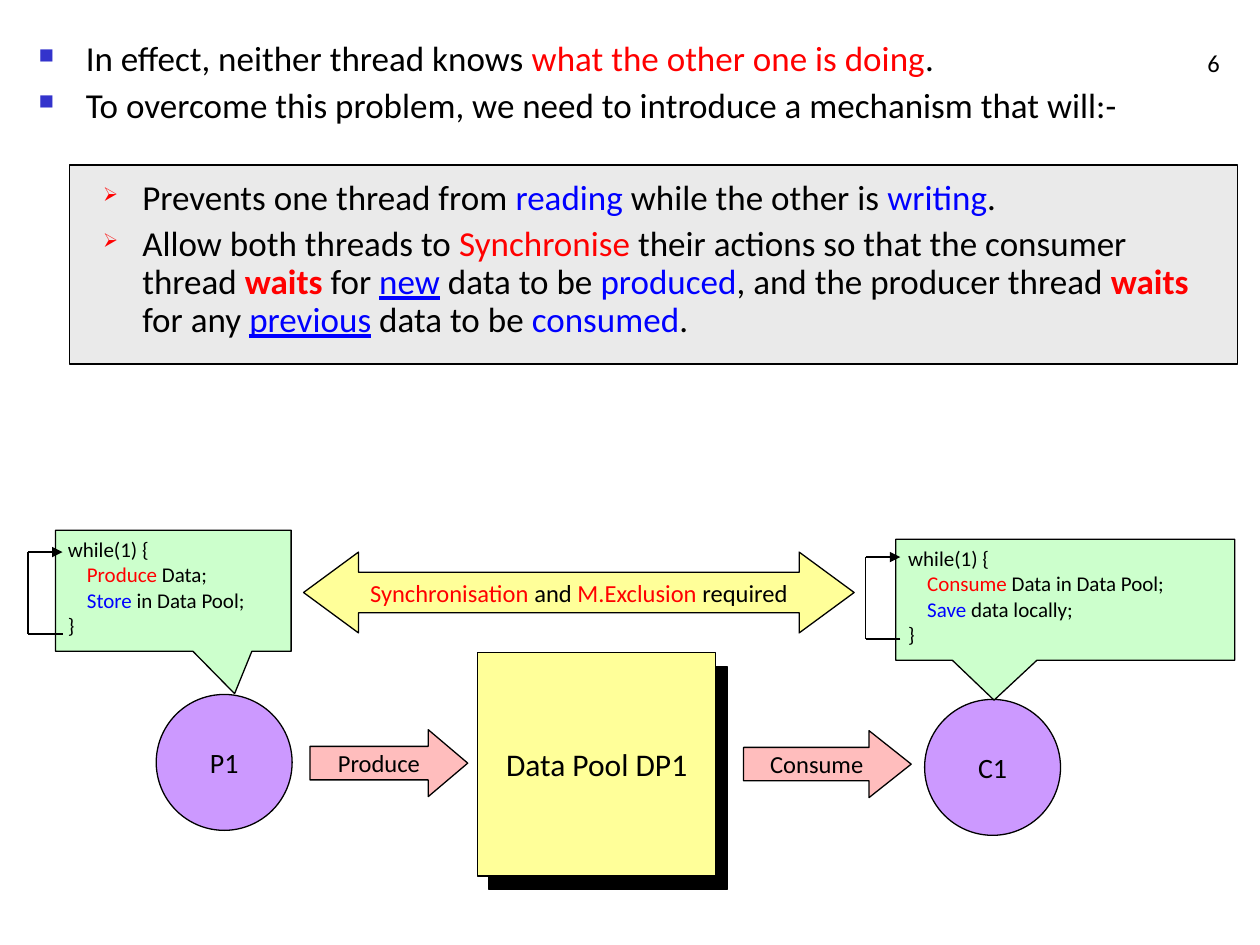
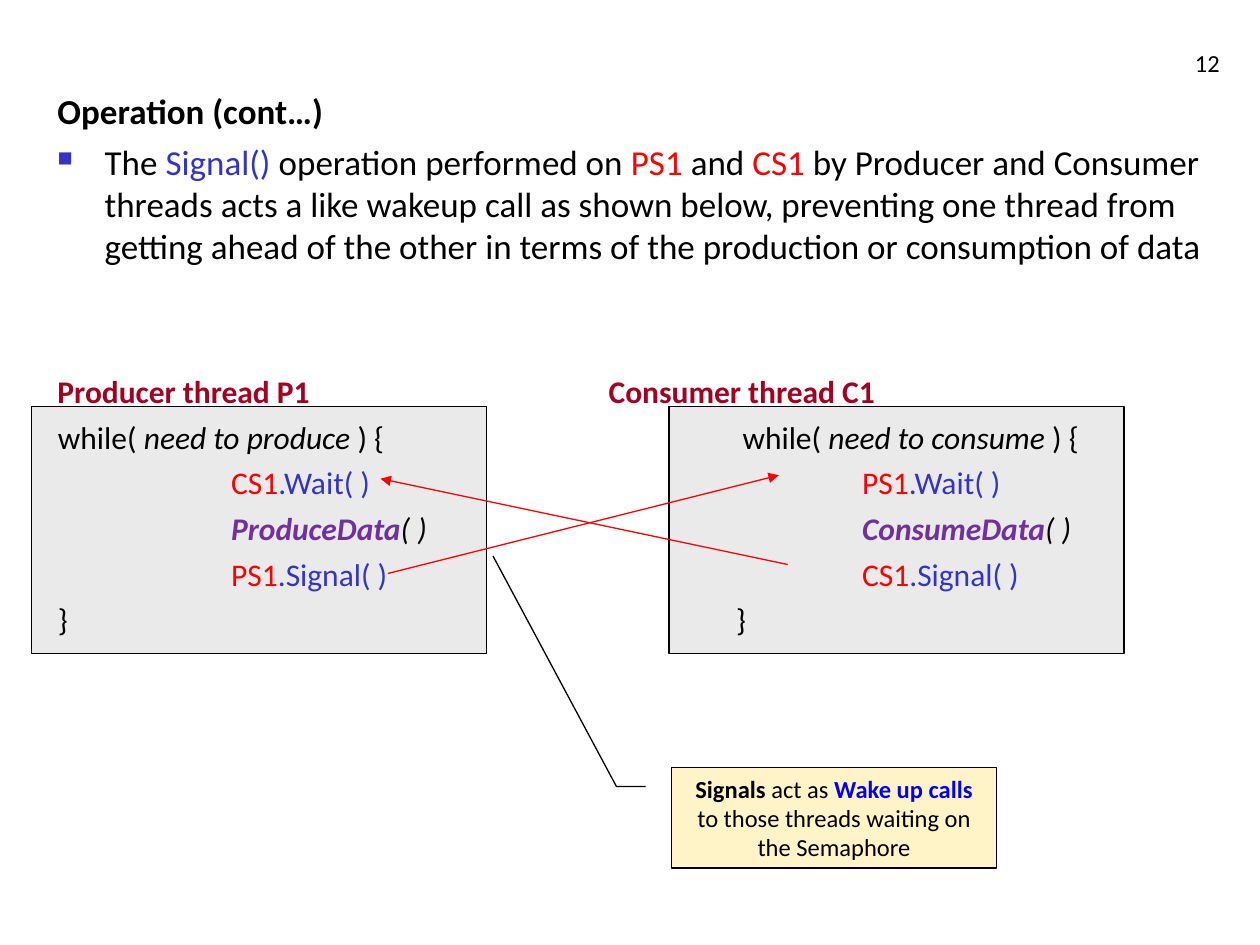
from dataclasses import dataclass
from functools import partial
from typing import NamedTuple

from lxml.etree import SubElement
from pptx import Presentation
from pptx.dml.color import RGBColor
from pptx.enum.shapes import MSO_CONNECTOR, MSO_SHAPE
from pptx.enum.text import MSO_ANCHOR, PP_ALIGN
from pptx.oxml.ns import qn
from pptx.util import Cm, Pt

RECT = MSO_SHAPE.RECTANGLE
OVAL = MSO_SHAPE.OVAL
RIGHT_ARROW = MSO_SHAPE.RIGHT_ARROW
BOTH_ARROW = MSO_SHAPE.LEFT_RIGHT_ARROW
SPEECH = MSO_SHAPE.RECTANGULAR_CALLOUT
LINE_CALLOUT = MSO_SHAPE.LINE_CALLOUT_2
STRAIGHT = MSO_CONNECTOR.STRAIGHT
TOP, MIDDLE, BOTTOM = MSO_ANCHOR.TOP, MSO_ANCHOR.MIDDLE, MSO_ANCHOR.BOTTOM
LEFT, CENTER, RIGHT = PP_ALIGN.LEFT, PP_ALIGN.CENTER, PP_ALIGN.RIGHT


@dataclass(frozen=True)
class Theme:
    font: str = "Calibri"
    black: str = "000000"
    red: str = "FF0000"
    blue: str = "0000FF"
    indigo: str = "3333CC"
    purple: str = "7030A0"
    crimson: str = "A50021"
    panel: str = "EAEAEA"
    pool: str = "FFFF99"
    thread: str = "CC99FF"
    flow: str = "FFBDBD"
    speech: str = "CCFFCC"
    note: str = "FFF4C8"
    body: float = 20
    code: float = 18
    node: float = 16
    label: float = 14
    small: float = 12
    outline: float = 0.75
    loop: float = 1


THEME = Theme()


class Box(NamedTuple):
    left: float
    top: float
    width: float
    height: float


class Point(NamedTuple):
    x: float
    y: float


class Insets(NamedTuple):
    left: float = 0.25
    top: float = 0.13


class Bullet(NamedTuple):
    char: str
    color: str
    percent: int


@dataclass(frozen=True)
class Span:
    text: str
    color: str = THEME.black
    bold: bool = False
    italic: bool = False
    underline: bool = False


@dataclass(frozen=True)
class Line:
    spans: list[Span]
    size: float
    align: PP_ALIGN = LEFT
    bullet: Bullet | None = None
    margin: float = 0
    hang: float = 0
    before: float = 0
    spacing: float = 1


@dataclass(frozen=True)
class Worker:
    name: str
    circle: Box
    speech: Box
    pointer: tuple[float, float]
    steps: list[list[Span]]
    loop_left: float
    loop_top: float


@dataclass(frozen=True)
class ThreadCode:
    title: str
    title_left: float
    panel: Box
    inset: float
    loop_margin: float
    call_margin: float
    condition: str
    waits_on: str
    action: str
    signals: str


red = partial(Span, color=THEME.red)
blue = partial(Span, color=THEME.blue)
indigo = partial(Span, color=THEME.indigo)
SQUARE = Bullet("■", THEME.indigo, 60)
ARROWHEAD = Bullet("➢", THEME.red, 55)


def write(shape, lines: list[Line], anchor=TOP, wrap: bool = True, insets: Insets = Insets()) -> None:
    frame = shape.text_frame
    frame.word_wrap = wrap
    frame.vertical_anchor = anchor
    frame.margin_left, frame.margin_top = Cm(insets.left), Cm(insets.top)
    frame.margin_right, frame.margin_bottom = Cm(0.25), Cm(0.13)
    for index, line in enumerate(lines):
        paragraph = frame.add_paragraph() if index else frame.paragraphs[0]
        paragraph.alignment = line.align
        paragraph.line_spacing = line.spacing
        paragraph.space_before = Pt(line.before if index else 0)
        properties = paragraph._p.get_or_add_pPr()
        properties.set("marL", str(Cm(line.margin)))
        properties.set("indent", str(Cm(-line.hang)))
        if line.bullet:
            color = SubElement(properties, qn("a:buClr"))
            SubElement(color, qn("a:srgbClr"), val=line.bullet.color)
            SubElement(properties, qn("a:buSzPct"), val=str(line.bullet.percent * 1000))
            SubElement(properties, qn("a:buChar"), char=line.bullet.char)
        for span in line.spans:
            run = paragraph.add_run()
            run.text = span.text
            run.font.name = THEME.font
            run.font.size = Pt(line.size)
            run.font.color.rgb = RGBColor.from_string(span.color)
            run.font.bold = span.bold
            run.font.italic = span.italic
            run.font.underline = span.underline


def add_block(slide, kind, box: Box, fill: str, adjustments: tuple[float, ...] = ()):
    block = slide.shapes.add_shape(kind, *map(Cm, box))
    block.shadow.inherit = False
    block.fill.solid()
    block.fill.fore_color.rgb = RGBColor.from_string(fill)
    block.line.color.rgb = RGBColor.from_string(THEME.black)
    block.line.width = Pt(THEME.outline)
    for index, value in enumerate(adjustments):
        block.adjustments[index] = value
    return block


def add_labelled(slide, kind, box: Box, fill: str, spans: list[Span], size: float,
                 adjustments: tuple[float, ...] = (), wrap: bool = False) -> None:
    block = add_block(slide, kind, box, fill, adjustments)
    write(block, [Line(spans, size, CENTER)], MIDDLE, wrap)


def add_text(slide, box: Box, lines: list[Line], anchor=TOP) -> None:
    write(slide.shapes.add_textbox(*map(Cm, box)), lines, anchor)


def add_line(slide, start: Point, end: Point, color: str, width: float, arrow: bool = False) -> None:
    link = slide.shapes.add_connector(STRAIGHT, *map(Cm, (*start, *end)))
    link.line.color.rgb = RGBColor.from_string(color)
    link.line.width = Pt(width)
    properties = link._element.spPr
    if arrow:
        SubElement(properties.find(qn("a:ln")), qn("a:tailEnd"), type="triangle")
    SubElement(properties, qn("a:effectLst"))


def add_numbered_slide(deck, number: int):
    slide = deck.slides.add_slide(deck.slide_layouts[6])
    add_text(slide, Box(19.56, 0.43, 5.28, 1.27),
             [Line([Span(str(number))], THEME.label, RIGHT)], BOTTOM)
    return slide


def add_worker(slide, worker: Worker) -> None:
    add_labelled(slide, OVAL, worker.circle, THEME.thread, [Span(worker.name)], THEME.node)
    speech = add_block(slide, SPEECH, worker.speech, THEME.speech, worker.pointer)
    steps = [[Span("while(1) {")], *worker.steps, [Span("}")]]
    write(speech, [Line(spans, THEME.small) for spans in steps])
    left, right = worker.loop_left, worker.loop_left + 0.7
    top, bottom = worker.loop_top, worker.loop_top + 1.65
    corners = [Point(right, bottom), Point(left, bottom), Point(left, top), Point(right, top)]
    for index, (start, end) in enumerate(zip(corners, corners[1:])):
        add_line(slide, start, end, THEME.black, THEME.loop, arrow=index == 2)


def build_problem(deck) -> None:
    slide = add_numbered_slide(deck, 6)
    bullet = partial(Line, size=THEME.body, bullet=SQUARE, margin=0.95, hang=0.95,
                     before=5, spacing=0.9)
    rule = partial(bullet, bullet=ARROWHEAD, margin=1.22, hang=0.79)
    add_text(slide, Box(0.53, 0.71, 24.41, 2.4), [
        bullet([Span("In effect, neither thread knows"), red(" what the other one is doing"), Span(".")]),
        bullet([Span("To overcome this problem, we need to introduce a mechanism that will:-")]),
    ])
    rules = add_block(slide, RECT, Box(1.4, 3.33, 23.55, 4.01), THEME.panel)
    write(rules, [
        rule([Span("Prevents one thread from "), blue("reading "), Span("while the other is "),
              blue("writing"), Span(".")]),
        rule([Span("Allow both threads to "), red("Synchronise"),
              Span(" their actions so that the consumer thread "), red("waits", bold=True),
              Span(" for "), blue("new", underline=True), Span(" data to be "), blue("produced"),
              Span(", and the producer thread "), red("waits", bold=True), Span(" for any "),
              blue("previous", underline=True), Span(" data to be "), blue("consumed"), Span(".")]),
    ], insets=Insets(top=0.3))

    pool = Box(9.63, 13.16, 4.8, 4.5)
    add_block(slide, RECT, pool._replace(left=pool.left + 0.23, top=pool.top + 0.28), THEME.black)
    add_labelled(slide, RECT, pool, THEME.pool, [Span("Data Pool DP1")], THEME.code)
    add_labelled(slide, RIGHT_ARROW, Box(6.25, 14.71, 3.18, 1.35), THEME.flow,
                 [Span("Produce")], THEME.label, (0.5, 0.59))
    add_labelled(slide, RIGHT_ARROW, Box(14.99, 14.73, 3.38, 1.35), THEME.flow,
                 [Span("Consume")], THEME.label, (0.5, 0.63))
    add_labelled(slide, BOTH_ARROW, Box(6.12, 11.13, 11.1, 1.63), THEME.pool,
                 [red("Synchronisation"), Span(" and"), red(" M.Exclusion"), Span(" required")],
                 THEME.label, (0.5, 0.68))
    workers = [
        Worker("P1", Box(3.15, 14, 2.74, 2.74), Box(1.12, 10.69, 4.75, 2.44), (0.26, 0.85),
               [[Span("    "), red("Produce"), Span(" Data;")],
                [Span("    "), blue("Store"), Span(" in Data Pool;")]], 0.56, 11.13),
        Worker("C1", Box(18.64, 14.1, 2.74, 2.74), Box(18.06, 10.87, 6.83, 2.44), (-0.21, 0.83),
               [[Span("    "), red("Consume"), Span(" Data in Data Pool;")],
                [Span("    "), blue("Save"), Span(" data locally;")]], 17.45, 11.23),
    ]
    for worker in workers:
        add_worker(slide, worker)


def add_thread_code(slide, thread: ThreadCode) -> None:
    panel = add_block(slide, RECT, thread.panel, THEME.panel)
    line = partial(Line, size=THEME.code, before=4.5)
    call = partial(line, margin=thread.call_margin)
    write(panel, [
        line([Span("while( "), Span(thread.condition, italic=True), Span(" ) {")],
             margin=thread.loop_margin),
        call([red(thread.waits_on), indigo(".Wait( )")]),
        call([Span(thread.action, THEME.purple, bold=True, italic=True), Span("( )", italic=True)]),
        call([red(thread.signals), indigo(".Signal( )")]),
        line([Span("}")]),
    ], insets=Insets(thread.inset, 0.22))
    add_text(slide, Box(thread.title_left, 7.37, 7, 1.04),
             [line([Span(thread.title, THEME.crimson, bold=True)])])


def build_operation(deck) -> None:
    slide = add_numbered_slide(deck, 12)
    add_text(slide, Box(0.91, 1.68, 23.98, 4), [
        Line([Span("Operation (cont…)", bold=True)], THEME.body),
        Line([Span("The "), indigo("Signal()"), Span(" operation performed on "), red("PS1"),
              Span(" and "), red("CS1"),
              Span(" by Producer and Consumer threads acts a like wakeup call as shown below, "
                   "preventing one thread from getting ahead of the other in terms of the "
                   "production or consumption of data")],
             THEME.body, bullet=SQUARE, margin=0.95, hang=0.95, before=5),
    ])
    threads = [
        ThreadCode("Producer thread P1", 0.91, Box(0.64, 8.2, 9.17, 4.97), 0.53, 0, 3.49,
                   "need to produce", "CS1", "ProduceData", "PS1"),
        ThreadCode("Consumer thread C1", 12.02, Box(13.49, 8.2, 9.17, 4.97), 1.35, 0.13, 2.54,
                   "need to consume", "PS1", "ConsumeData", "CS1"),
    ]
    for thread in threads:
        add_thread_code(slide, thread)
    wake_ups = [(Point(15.88, 11.38), Point(7.67, 9.65)), (Point(7.82, 11.56), Point(15.7, 9.58))]
    for signal, wait in wake_ups:
        add_line(slide, signal, wait, THEME.red, THEME.outline, arrow=True)
    add_labelled(slide, LINE_CALLOUT, Box(13.54, 15.47, 6.55, 2.03), THEME.note,
                 [Span("Signals", bold=True), Span(" act as "), blue("Wake up calls ", bold=True),
                  Span("to those threads waiting on the Semaphore")],
                 THEME.label, (0.19, -0.08, 0.19, -0.17, -2.1, -0.55), wrap=True)


def main() -> None:
    deck = Presentation()
    deck.slide_width, deck.slide_height = Cm(25.4), Cm(19.05)
    build_problem(deck)
    build_operation(deck)
    deck.save("out.pptx")


if __name__ == "__main__":
    main()
